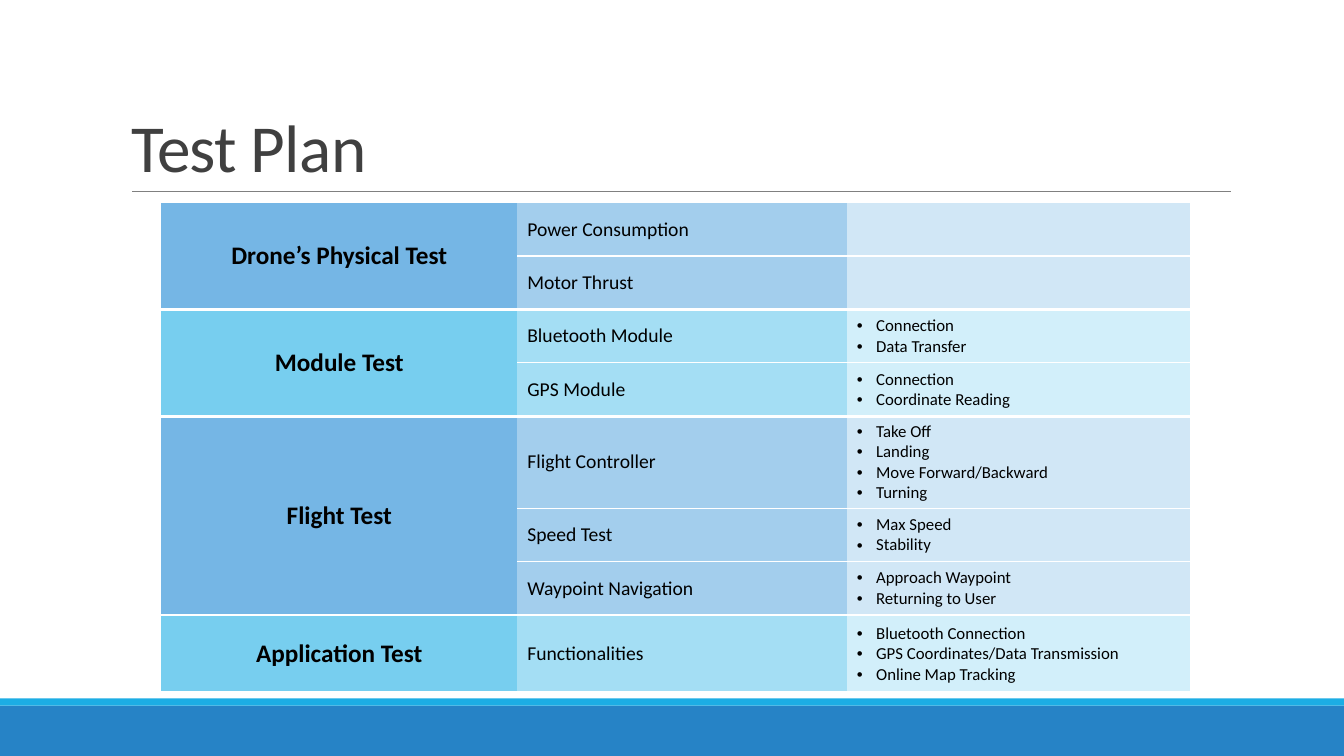
"""Build the Test Plan slide: a title over a grouped table of tests."""
import pptx
import pptx.dml.color
import pptx.enum.shapes
import pptx.enum.text
import pptx.oxml
import pptx.oxml.ns
import pptx.util

Inches, Pt = pptx.util.Inches, pptx.util.Pt
RGBColor = pptx.dml.color.RGBColor
MIDDLE = pptx.enum.text.MSO_ANCHOR.MIDDLE
LEFT, CENTER = pptx.enum.text.PP_ALIGN.LEFT, pptx.enum.text.PP_ALIGN.CENTER

TITLE = "Test Plan"
PLAN = [
    ("Drone’s Physical Test", [("Power Consumption", []), ("Motor Thrust", [])]),
    ("Module Test", [
        ("Bluetooth Module", ["Connection", "Data Transfer"]),
        ("GPS Module", ["Connection", "Coordinate Reading"]),
    ]),
    ("Flight Test", [
        ("Flight Controller", ["Take Off", "Landing", "Move Forward/Backward", "Turning"]),
        ("Speed Test", ["Max Speed", "Stability"]),
        ("Waypoint Navigation", ["Approach Waypoint", "Returning to User"]),
    ]),
    ("Application Test", [
        ("Functionalities", ["Bluetooth Connection", "GPS Coordinates/Data Transmission",
                             "Online Map Tracking"]),
    ]),
]

FONT = "Calibri"
BLACK = RGBColor(0, 0, 0)
WHITE = RGBColor(0xFF, 0xFF, 0xFF)
TITLE_GRAY = RGBColor(0x40, 0x40, 0x40)
RULE_GRAY = RGBColor(0x80, 0x80, 0x80)
BAR_BLUE = RGBColor(0x26, 0x83, 0xC6)
BAR_CYAN = RGBColor(0x1C, 0xAD, 0xE4)
BLUES = [RGBColor(0x75, 0xB6, 0xE5), RGBColor(0xA3, 0xCE, 0xED), RGBColor(0xD1, 0xE7, 0xF6)]
CYANS = [RGBColor(0x77, 0xCE, 0xEF), RGBColor(0xA4, 0xDE, 0xF4), RGBColor(0xD2, 0xEF, 0xFA)]

WIDTH, HEIGHT = 13.33, 7.5
TABLE_LEFT, TABLE_TOP = 1.6, 2.01
COLUMNS = [3.53, 3.27, 3.4]
ROW_HEIGHT = 0.53
TALL_ROWS = {3: 0.77, 4: 0.89}
THIN, THICK = 1, 2.25
NO_TABLE_STYLE = "{2D5ABB26-0587-4C30-8999-92F81FD0307C}"


def add_run(p, text, size, color=BLACK, bold=False):
    r = p.add_run()
    r.text = text
    r.font.name, r.font.size, r.font.bold = FONT, Pt(size), bold
    r.font.color.rgb = color
    return r


def add_bar(slide, top, height, color):
    sp = slide.shapes.add_shape(pptx.enum.shapes.MSO_SHAPE.RECTANGLE, 0, Inches(top),
                                Inches(WIDTH), Inches(height))
    sp.shadow.inherit = False
    sp.fill.solid()
    sp.fill.fore_color.rgb = color
    sp.line.fill.background()


def add_rule(slide):
    line = slide.shapes.add_connector(pptx.enum.shapes.MSO_CONNECTOR.STRAIGHT, Inches(1.31),
                                      Inches(1.9), Inches(12.21), Inches(1.9))
    line.line.color.rgb, line.line.width = RULE_GRAY, Pt(0.5)
    pptx.oxml.ns.qn("a:effectLst")
    line._element.spPr.append(pptx.oxml.parse_xml(
        f'<a:effectLst {pptx.oxml.ns.nsdecls("a")}/>'))


def add_title(slide):
    sp = slide.shapes.title
    sp.left, sp.top, sp.width, sp.height = map(Inches, (1.2, 0.31, 11, 1.59))
    tf = sp.text_frame
    tf.vertical_anchor = pptx.enum.text.MSO_ANCHOR.BOTTOM
    tf.auto_size = pptx.enum.text.MSO_AUTO_SIZE.NONE
    p = tf.paragraphs[0]
    p.alignment, p.line_spacing = LEFT, 0.85
    r = add_run(p, TITLE, 48, TITLE_GRAY)
    r.font._element.set("spc", "-50")


def style_cell(cell, color, top, bottom):
    tc_pr = cell._tc.get_or_add_tcPr()
    for side, width in (("T", top), ("B", bottom)):
        tc_pr.append(pptx.oxml.parse_xml(
            f'<a:ln{side} {pptx.oxml.ns.nsdecls("a")} w="{Pt(width)}"><a:solidFill>'
            f'<a:srgbClr val="{WHITE}"/></a:solidFill></a:ln{side}>'))
    cell.fill.solid()
    cell.fill.fore_color.rgb = color
    cell.vertical_anchor = MIDDLE


def add_bullets(cell, items):
    tf = cell.text_frame
    for i, item in enumerate(items):
        p = tf.add_paragraph() if i else tf.paragraphs[0]
        p_pr = p._p.get_or_add_pPr()
        p_pr.set("marL", str(Inches(0.19)))
        p_pr.set("indent", str(-Inches(0.19)))
        p_pr.append(pptx.oxml.parse_xml(
            f'<a:buFont {pptx.oxml.ns.nsdecls("a")} typeface="Arial"/>'))
        p_pr.append(pptx.oxml.parse_xml(
            f'<a:buChar {pptx.oxml.ns.nsdecls("a")} char="•"/>'))
        add_run(p, item, 12)


def add_plan(slide):
    heights = [TALL_ROWS.get(len(items), ROW_HEIGHT) for _, tests in PLAN for _, items in tests]
    frame = slide.shapes.add_table(len(heights), len(COLUMNS), Inches(TABLE_LEFT),
                                   Inches(TABLE_TOP), Inches(sum(COLUMNS)), Inches(sum(heights)))
    table = frame.table
    table.first_row = table.horz_banding = False
    table._tbl.tblPr.find(pptx.oxml.ns.qn("a:tableStyleId")).text = NO_TABLE_STYLE
    for column, width in zip(table.columns, COLUMNS):
        column.width = Inches(width)
    for row, height in zip(table.rows, heights):
        row.height = Inches(height)

    first = 0
    for group, (name, tests) in enumerate(PLAN):
        last = first + len(tests) - 1
        for row, (test, items) in enumerate(tests, first):
            top = THICK if row == first and group else THIN
            bottom = THICK if row == last else THIN
            for col, color in enumerate((BLUES, CYANS)[group % 2]):
                merged = col == 0
                style_cell(table.cell(row, col), color,
                           (THICK if group else THIN) if merged else top,
                           THICK if merged else bottom)
            add_run(table.cell(row, 1).text_frame.paragraphs[0], test, 14)
            add_bullets(table.cell(row, 2), items)
        head = table.cell(first, 0)
        if last > first:
            head.merge(table.cell(last, 0))
        p = head.text_frame.paragraphs[0]
        p.alignment = CENTER
        add_run(p, name, 18, bold=True)
        first = last + 1


def main():
    prs = pptx.Presentation()
    prs.slide_width, prs.slide_height = Inches(WIDTH), Inches(HEIGHT)
    slide = prs.slides.add_slide(prs.slide_layouts[5])
    add_bar(slide, 7, 0.5, BAR_BLUE)
    add_bar(slide, 6.93, 0.07, BAR_CYAN)
    add_rule(slide)
    add_title(slide)
    add_plan(slide)
    prs.save("out.pptx")


if __name__ == "__main__":
    main()
